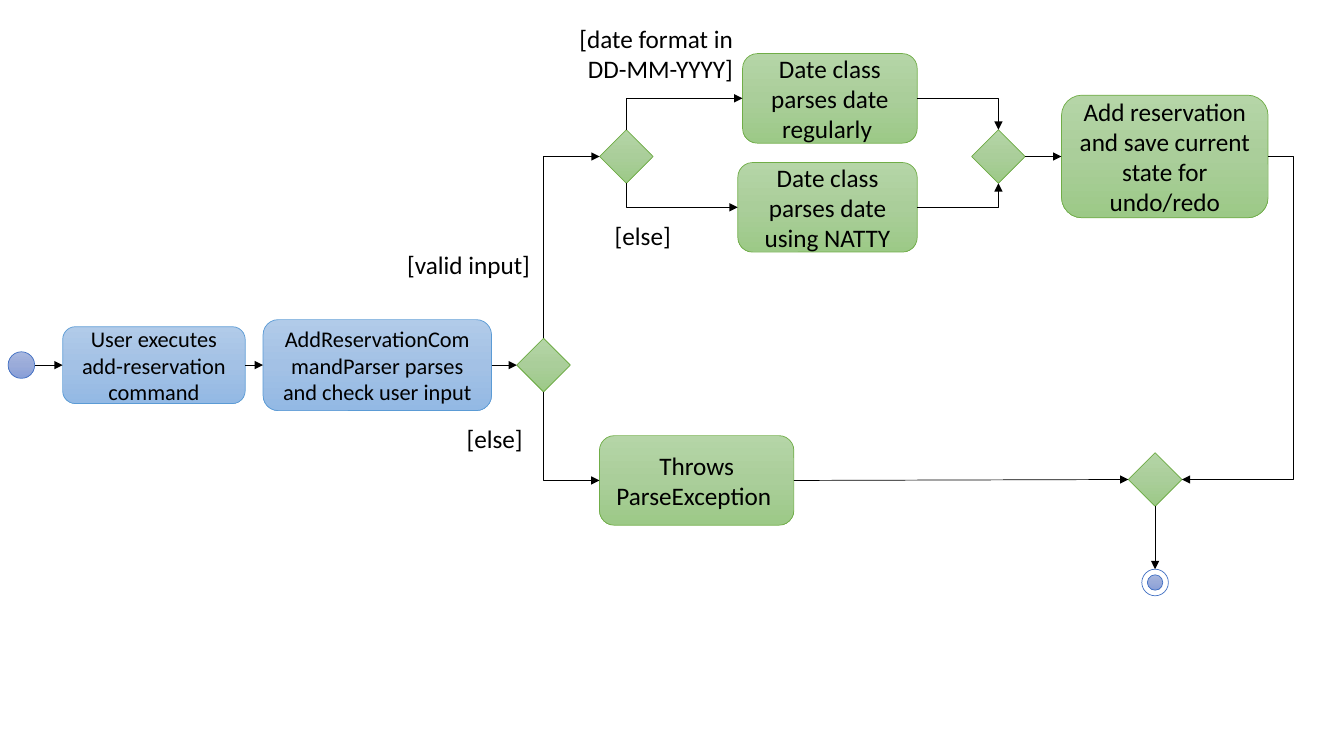
from copy import deepcopy
from dataclasses import dataclass

from lxml.etree import SubElement
from pptx import Presentation
from pptx.dml.color import RGBColor
from pptx.enum.shapes import MSO_CONNECTOR as Line, MSO_SHAPE as Preset
from pptx.enum.text import MSO_ANCHOR as Anchor, MSO_AUTO_SIZE as AutoSize, PP_ALIGN as Align
from pptx.oxml.ns import qn
from pptx.shapes.autoshape import Shape
from pptx.shapes.connector import Connector
from pptx.slide import Slide
from pptx.util import Pt

BLACK = RGBColor(0x00, 0x00, 0x00)
WHITE = RGBColor(0xFF, 0xFF, 0xFF)
TOP, LEFT, BOTTOM, RIGHT = range(4)
DIAMOND_SIZE = 38.2
DOT_SIZE = 19


@dataclass(frozen=True)
class Palette:
    line: RGBColor
    stops: tuple[RGBColor, ...]


GREEN = Palette(RGBColor(0x70, 0xAD, 0x47),
                (RGBColor(0xB5, 0xD5, 0xA7), RGBColor(0xAA, 0xCE, 0x9A), RGBColor(0x9C, 0xC9, 0x87)))
BLUE = Palette(RGBColor(0x5B, 0x9B, 0xD5),
               (RGBColor(0xB1, 0xCB, 0xE9), RGBColor(0xA3, 0xC1, 0xE5), RGBColor(0x93, 0xB9, 0xE4)))
INDIGO = Palette(RGBColor(0x44, 0x72, 0xC4),
                 (RGBColor(0xA8, 0xB7, 0xDF), RGBColor(0x9A, 0xAB, 0xD9), RGBColor(0x88, 0x9E, 0xD7)))
HOLLOW = Palette(INDIGO.line, (WHITE,))


@dataclass(frozen=True)
class Node:
    """A diagram symbol, placed by its left edge and vertical centre."""
    name: str
    preset: Preset
    palette: Palette
    left: float
    middle: float
    width: float
    height: float
    text: str = ""
    size: int = 18


@dataclass(frozen=True)
class Flow:
    source: str
    source_side: int
    target: str
    target_side: int


@dataclass(frozen=True)
class Guard:
    text: str
    left: float
    top: float
    width: float
    height: float
    align: Align = Align.LEFT


def activity(name: str, left: float, middle: float, width: float, height: float,
             text: str, palette: Palette = GREEN, size: int = 18) -> Node:
    return Node(name, Preset.ROUNDED_RECTANGLE, palette, left, middle, width, height, text, size)


def decision(name: str, left: float, middle: float) -> Node:
    return Node(name, Preset.DIAMOND, GREEN, left, middle, DIAMOND_SIZE, DIAMOND_SIZE)


def dot(name: str, left: float, middle: float, size: float, palette: Palette) -> Node:
    return Node(name, Preset.OVAL, palette, left, middle, size, size)


NODES = (
    dot("start", 5.8, 260.8, DOT_SIZE, INDIGO),
    activity("command", 44.8, 260.8, 130.4, 54.9, "User executes add-reservation command", BLUE, 16),
    activity("parser", 187.9, 260.8, 163.2, 65,
             "AddReservationCommandParser parses and check user input", BLUE, 16),
    decision("input check", 369.2, 260.8),
    decision("format check", 428.3, 111.8),
    activity("regular date", 530.4, 70.3, 124.8, 64, "Date class parses date regularly "),
    activity("natty date", 527, 148.1, 128.2, 64, "Date class parses date using NATTY"),
    decision("date merge", 694.1, 111.8),
    activity("add", 758.2, 111.8, 147.6, 87.6, "Add reservation and save current state for undo/redo"),
    activity("throw", 428.2, 343.2, 138.9, 64, "Throws ParseException "),
    decision("final merge", 806, 342.5),
    dot("end ring", 815.6, 416.1, DOT_SIZE, HOLLOW),
    dot("end core", 819.6, 416.1, 11, INDIGO),
)
STRAIGHT_FLOWS = (
    Flow("start", RIGHT, "command", LEFT),
    Flow("command", RIGHT, "parser", LEFT),
    Flow("parser", RIGHT, "input check", LEFT),
    Flow("date merge", RIGHT, "add", LEFT),
    Flow("throw", RIGHT, "final merge", LEFT),
    Flow("final merge", BOTTOM, "end ring", TOP),
)
CORNER_FLOWS = (
    Flow("input check", TOP, "format check", LEFT),
    Flow("input check", BOTTOM, "throw", LEFT),
    Flow("format check", TOP, "regular date", LEFT),
    Flow("format check", BOTTOM, "natty date", LEFT),
    Flow("regular date", RIGHT, "date merge", TOP),
    Flow("natty date", RIGHT, "date merge", BOTTOM),
)
RETURN_FLOW = Flow("add", RIGHT, "final merge", RIGHT)
GUARDS = (
    Guard("[else]", 326.2, 298.8, 67, 29),
    Guard("[valid input]", 283.7, 174.2, 104.4, 29),
    Guard("[date format in DD-MM-YYYY]", 388, 12.8, 142.6, 51, Align.RIGHT),
    Guard("[else]", 432, 154.1, 124.6, 29),
)


def write_text(shape: Shape, text: str, size: int, align: Align, frame_format: dict) -> None:
    frame = shape.text_frame
    for name, value in frame_format.items():
        setattr(frame, name, value)
    paragraph = frame.paragraphs[0]
    paragraph.text, paragraph.alignment = text, align
    for name, value in {"name": "Calibri", "size": Pt(size)}.items():
        setattr(paragraph.font, name, value)
    paragraph.font.color.rgb = BLACK


def paint(shape: Shape, palette: Palette) -> None:
    shape.shadow.inherit = False
    shape.line.color.rgb, shape.line.width = palette.line, Pt(0.5)
    if len(palette.stops) == 1:
        shape.fill.solid()
        shape.fill.fore_color.rgb = palette.stops[0]
        return
    shape.fill.gradient()
    shape.fill.gradient_angle = 270
    stop_list = shape.element.spPr.find(qn("a:gradFill")).find(qn("a:gsLst"))
    stop_list.append(deepcopy(stop_list[0]))
    for index, (stop, color) in enumerate(zip(shape.fill.gradient_stops, palette.stops)):
        stop.position, stop.color.rgb = index / 2, color


def add_node(slide: Slide, node: Node) -> Shape:
    shape = slide.shapes.add_shape(node.preset, Pt(node.left), Pt(node.middle - node.height / 2),
                                   Pt(node.width), Pt(node.height))
    paint(shape, node.palette)
    if node.text:
        write_text(shape, node.text, node.size, Align.CENTER,
                   {"word_wrap": True, "vertical_anchor": Anchor.MIDDLE})
    return shape


def add_guard(slide: Slide, guard: Guard) -> None:
    box = slide.shapes.add_textbox(Pt(guard.left), Pt(guard.top), Pt(guard.width), Pt(guard.height))
    write_text(box, guard.text, 18, guard.align,
               {"word_wrap": True, "auto_size": AutoSize.SHAPE_TO_FIT_TEXT})


def side_point(shape: Shape, side: int) -> tuple[int, int]:
    across = {LEFT: 0, RIGHT: shape.width}.get(side, shape.width // 2)
    down = {TOP: 0, BOTTOM: shape.height}.get(side, shape.height // 2)
    return shape.left + across, shape.top + down


def add_arrow(slide: Slide, kind: Line, begin: tuple[int, int], end: tuple[int, int]) -> Connector:
    arrow = slide.shapes.add_connector(kind, *begin, *end)
    arrow.line.color.rgb, arrow.line.width = BLACK, Pt(0.5)
    properties = arrow.element.spPr
    SubElement(properties.find(qn("a:ln")), qn("a:tailEnd"), type="triangle")
    SubElement(properties, qn("a:effectLst"))
    return arrow


def add_straight(slide: Slide, shapes: dict[str, Shape], flow: Flow) -> None:
    source, target = shapes[flow.source], shapes[flow.target]
    arrow = add_arrow(slide, Line.STRAIGHT, side_point(source, flow.source_side),
                      side_point(target, flow.target_side))
    if source.auto_shape_type != Preset.OVAL:
        arrow.begin_connect(source, flow.source_side)
    arrow.end_connect(target, flow.target_side)


def add_corner(slide: Slide, shapes: dict[str, Shape], flow: Flow) -> None:
    """Draw an arrow with one bend; one that leaves vertically is a turned frame."""
    begin = side_point(shapes[flow.source], flow.source_side)
    end = side_point(shapes[flow.target], flow.target_side)
    turn = {TOP: 90, BOTTOM: 270}.get(flow.source_side, 0)
    if turn:
        center_x, center_y = (begin[0] + end[0]) // 2, (begin[1] + end[1]) // 2
        half_width, half_height = abs(end[1] - begin[1]) // 2, abs(end[0] - begin[0]) // 2
        rise = half_height if turn == 90 else -half_height
        begin = center_x + half_width, center_y + rise
        end = center_x - half_width, center_y - rise
    properties = add_arrow(slide, Line.ELBOW, begin, end).element.spPr
    properties.find(qn("a:prstGeom")).set("prst", "bentConnector2")
    if turn:
        properties.find(qn("a:xfrm")).set("rot", str(turn * 60000))


def add_return(slide: Slide, shapes: dict[str, Shape], flow: Flow) -> None:
    """Draw the arrow that swings out to the right before it comes back."""
    arrow = add_arrow(slide, Line.ELBOW, side_point(shapes[flow.source], flow.source_side),
                      side_point(shapes[flow.target], flow.target_side))
    adjustments = arrow.element.spPr.find(qn("a:prstGeom")).find(qn("a:avLst"))
    SubElement(adjustments, qn("a:gd"), name="adj1", fmla="val -28900")


def main() -> None:
    presentation = Presentation()
    presentation.slide_width, presentation.slide_height = Pt(960), Pt(540)
    slide = presentation.slides.add_slide(presentation.slide_layouts[6])
    shapes = {node.name: add_node(slide, node) for node in NODES}
    for flow in STRAIGHT_FLOWS:
        add_straight(slide, shapes, flow)
    for flow in CORNER_FLOWS:
        add_corner(slide, shapes, flow)
    add_return(slide, shapes, RETURN_FLOW)
    for guard in GUARDS:
        add_guard(slide, guard)
    slide.shapes.add_group_shape([shapes["end ring"], shapes["end core"]])
    presentation.save("out.pptx")


if __name__ == "__main__":
    main()
